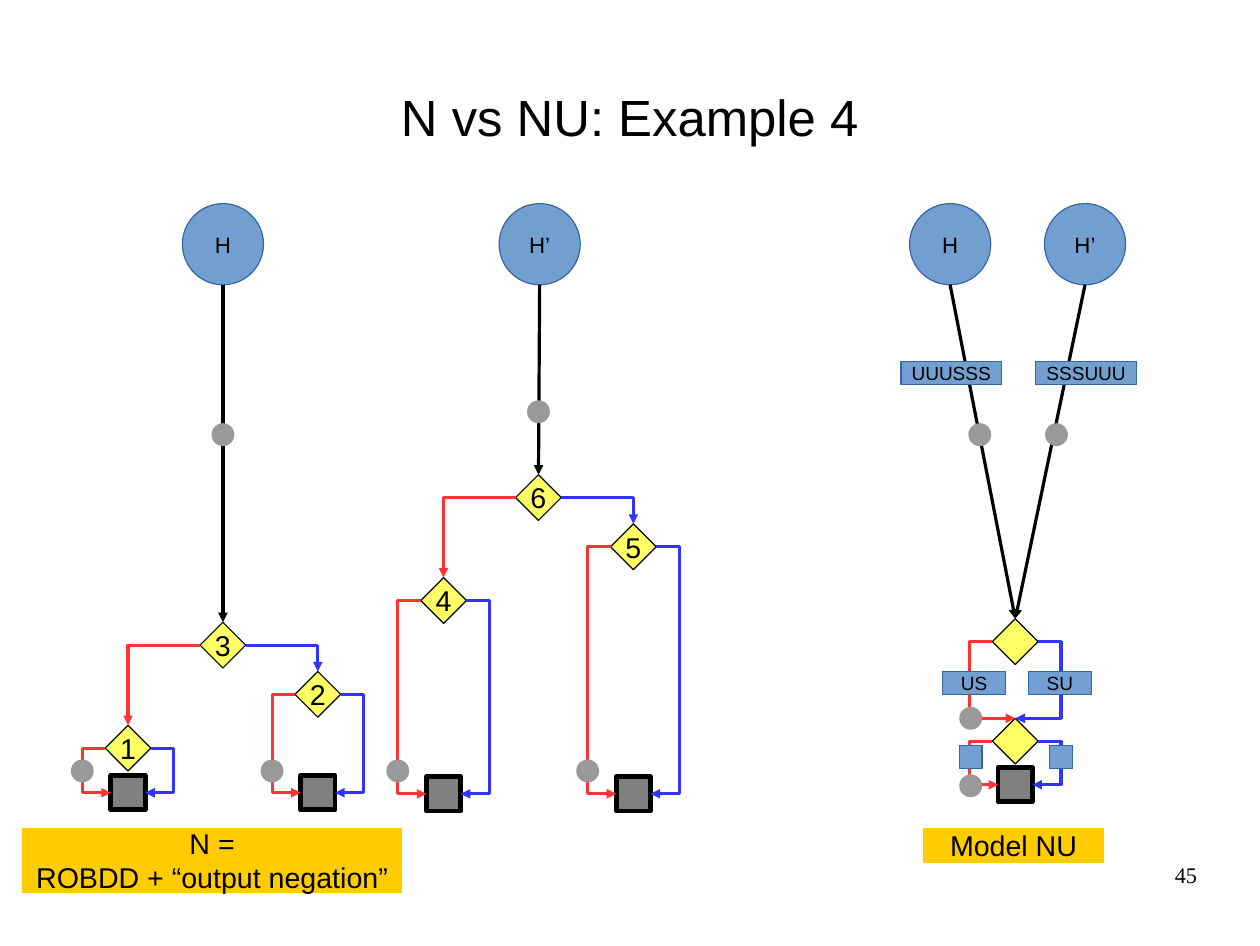
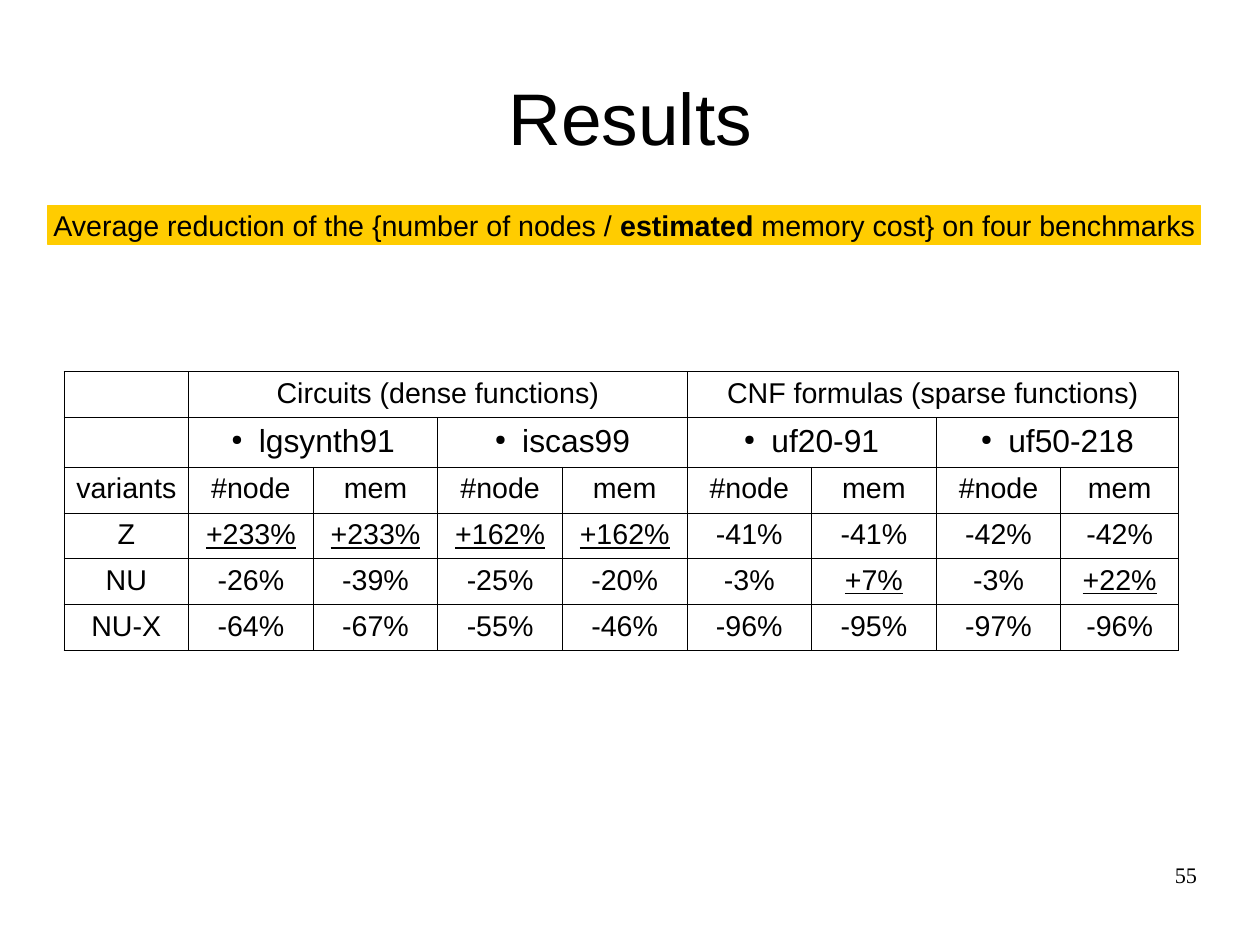
from pptx import Presentation
from pptx.dml.color import RGBColor
from pptx.enum.shapes import MSO_CONNECTOR, MSO_SHAPE
from pptx.enum.text import MSO_ANCHOR, PP_ALIGN
from pptx.oxml import parse_xml
from pptx.oxml.ns import nsdecls, qn
from pptx.util import Inches, Pt

RECT, OVAL, DIAMOND = MSO_SHAPE.RECTANGLE, MSO_SHAPE.OVAL, MSO_SHAPE.DIAMOND
STRAIGHT, ELBOW = MSO_CONNECTOR.STRAIGHT, MSO_CONNECTOR.ELBOW
CENTER, RIGHT = PP_ALIGN.CENTER, PP_ALIGN.RIGHT
TOP, MIDDLE = MSO_ANCHOR.TOP, MSO_ANCHOR.MIDDLE
TOP_SITE, LEFT_SITE, RIGHT_SITE = 0, 1, 3

COLORS = {
    "black": "000000", "gold": "FFCC00", "yellow": "FFFF66", "gray": "808080",
    "dot": "999999", "blue": "729FCF", "edge": "3465A4",
    "low": "FF3333", "high": "3333FF",
}
NODE, SINK, DOT, TAG = 0.4, 0.3, 0.2, 0.2
BALL, BALL_TOP = 0.71, 1.78
BALL_BOTTOM = BALL_TOP + BALL


def rgb(name):
    return RGBColor.from_string(COLORS[name])


def xml(body):
    return parse_xml(f"<a:root {nsdecls('a')}>{body}</a:root>")[0]


def write(tf, text, size=18, font="Arial", align=CENTER, underline=False):
    for i, line in enumerate(text.split("\n")):
        p = tf.paragraphs[0] if i == 0 else tf.add_paragraph()
        p.alignment = align
        for j, part in enumerate(line.split("*")):
            r = p.add_run()
            r.text = part
            r.font.size, r.font.name = Pt(size), font
            r.font.bold, r.font.underline = j % 2 == 1, underline
            r.font.color.rgb = rgb("black")


class Deck:
    """Hold the shared style and the slide being drawn."""

    def __init__(self):
        self.prs = Presentation()
        self.prs.slide_width, self.prs.slide_height = Inches(11.02), Inches(8.27)
        self.s = None

    def slide(self, title, size, number):
        self.s = self.prs.slides.add_slide(self.prs.slide_layouts[6])
        self.text(0.55, 0.33, 9.92, 1.38, title, anchor=MIDDLE, size=size)
        self.text(7.9, 7.53, 2.57, 0.57, number, size=14,
                  font="Times New Roman", align=RIGHT)

    def text(self, x, y, w, h, text, anchor=TOP, **style):
        tf = self.s.shapes.add_textbox(*map(Inches, (x, y, w, h))).text_frame
        tf.word_wrap, tf.vertical_anchor = True, anchor
        tf.margin_left = tf.margin_right = tf.margin_top = tf.margin_bottom = 0
        write(tf, text, **style)

    def shape(self, kind, x, y, w, h, fill, line=None, width=0, text="", size=18):
        sp = self.s.shapes.add_shape(kind, *map(Inches, (x, y, w, h)))
        sp.shadow.inherit = False
        sp.fill.solid()
        sp.fill.fore_color.rgb = rgb(fill)
        if line:
            sp.line.color.rgb = rgb(line)
            sp.line.width = Pt(width)
        else:
            sp.line.fill.background()
        if text:
            tf = sp.text_frame
            tf.word_wrap, tf.vertical_anchor = False, MIDDLE
            write(tf, text, size)
        return sp

    def banner(self, x, y, w, h, text):
        self.shape(RECT, x, y, w, h, "gold", "gold", text=text)

    def node(self, cx, y, text=""):
        return self.shape(DIAMOND, cx - NODE / 2, y, NODE, NODE,
                          "yellow", "black", text=text)

    def sink(self, cx, y):
        return self.shape(RECT, cx - SINK / 2, y, SINK, SINK, "gray", "black", 3)

    def dot(self, cx, y):
        self.shape(OVAL, cx - DOT / 2, y, DOT, DOT, "dot")

    def tag(self, cx, y, w, text=""):
        self.shape(RECT, cx - w / 2, y, w, TAG, "blue", "edge", text=text, size=12)

    def ball(self, cx, text):
        self.shape(OVAL, cx - BALL / 2, BALL_TOP, BALL, BALL,
                   "blue", "edge", text=text, size=14)

    def finish_arrow(self, c, color):
        c.line.color.rgb = rgb(color)
        c.line.width = Pt(0)
        sp_pr = c.element.spPr
        sp_pr.find(qn("a:ln")).append(xml('<a:tailEnd type="triangle"/>'))
        sp_pr.append(xml("<a:effectLst/>"))

    def entry(self, cx, node, dot_x, dot_y):
        c = self.s.shapes.add_connector(STRAIGHT, Inches(cx), Inches(BALL_BOTTOM), 0, 0)
        c.end_connect(node, TOP_SITE)
        self.finish_arrow(c, "black")
        self.dot(dot_x, dot_y)

    def branch(self, node, site, target, target_site, reach=None, glue=True):
        c = self.s.shapes.add_connector(ELBOW, 0, 0, 0, 0)
        c.begin_connect(node, site)
        if glue:
            c.end_connect(target, target_site)
        else:
            c.end_x, c.end_y = target.left + target.width // 2, target.top
        geom = c.element.spPr.find(qn("a:prstGeom"))
        if reach is None:
            geom.set("prst", "bentConnector2")
        else:
            offset = Inches(-reach if site == LEFT_SITE else reach)
            adj = round(offset / (c.end_x - c.begin_x) * 100000)
            geom.find(qn("a:avLst")).append(
                xml(f'<a:gd name="adj1" fmla="val {adj}"/>'))
        self.finish_arrow(c, "low" if site == LEFT_SITE else "high")

    def leaf(self, node, cx, sink_y, reach=0.2):
        sink = self.sink(cx, sink_y)
        for site in (LEFT_SITE, RIGHT_SITE):
            self.branch(node, site, sink, site, reach)

    def tree(self, cx, y, sink_y, names):
        root = self.node(cx, y, names[0])
        sides = ((LEFT_SITE, -0.83, 0.9), (RIGHT_SITE, 0.83, 0.43))
        for name, (site, dx, dy) in zip(names[1:], sides):
            child = self.node(cx + dx, y + dy, name)
            self.branch(root, site, child, TOP_SITE)
            self.leaf(child, cx + dx, sink_y)
            self.dot(cx + dx - 0.4, 6.64)
        return root

    def cell(self, cell, text, bullet=False):
        tc_pr = cell._tc.get_or_add_tcPr()
        for side in "LRTB":
            tc_pr.append(xml(
                f'<a:ln{side} w="7200"><a:solidFill><a:srgbClr val="{COLORS["black"]}"/>'
                f'</a:solidFill></a:ln{side}>'))
        cell.fill.background()
        if not text:
            return
        write(cell.text_frame, text, 20 if bullet else 18,
              underline=text.startswith("+"))
        if bullet:
            p_pr = cell.text_frame.paragraphs[0]._p.get_or_add_pPr()
            p_pr.set("marL", str(Inches(0.24)))
            p_pr.set("indent", str(Inches(-0.24)))
            p_pr.append(xml(f'<a:buClr><a:srgbClr val="{COLORS["black"]}"/></a:buClr>'))
            p_pr.append(xml('<a:buSzPct val="45000"/>'))
            p_pr.append(xml('<a:buChar char="●"/>'))

    def table(self, x, y, widths, heights, rows, merges, bullet_row):
        frame = self.s.shapes.add_table(
            len(rows), len(widths), *map(Inches, (x, y, sum(widths), sum(heights))))
        tbl = frame.table
        tbl.first_row = tbl.horz_banding = False
        for col, w in zip(tbl.columns, widths):
            col.width = Inches(w)
        for row, h in zip(tbl.rows, heights):
            row.height = Inches(h)
        for i, j, span in merges:
            tbl.cell(i, j).merge(tbl.cell(i, j + span - 1))
        for i, row in enumerate(rows):
            for j, text in enumerate(row):
                self.cell(tbl.cell(i, j), text, i == bullet_row)


def draw_example(d):
    d.slide("N vs NU: Example 4", 32, "45")
    d.banner(0.2, 7.24, 3.31, 0.56, "N =\nROBDD + “output negation”")
    d.banner(8.08, 7.24, 1.57, 0.3, "Model NU")

    trees = ((1.95, 1.95, 5.44, 6.78, "312", "H", 3.7),
             (4.71, 4.72, 4.15, 6.79, "645", "H’", 3.5))
    for cx, ball_x, y, sink_y, names, label, dot_y in trees:
        root = d.tree(cx, y, sink_y, names)
        d.ball(ball_x, label)
        d.entry(ball_x, root, cx, dot_y)

    cx = 8.88
    upper, lower = d.node(cx, 5.41), d.node(cx, 6.28)
    for ball_x, label, tag, dot_x in ((8.31, "H", "UUUSSS", 8.57),
                                      (9.49, "H’", "SSSUUU", 9.24)):
        d.ball(ball_x, label)
        d.entry(ball_x, upper, dot_x, 3.7)
        d.tag(ball_x + 0.01, 3.16, 0.88, tag)
    for site in (LEFT_SITE, RIGHT_SITE):
        d.branch(upper, site, lower, TOP_SITE, 0.2, glue=False)
    d.leaf(lower, cx, 6.71)
    for tag_x, label, small_x in ((8.52, "US", 8.49), (9.27, "SU", 9.28)):
        d.tag(tag_x, 5.87, 0.55, label)
        d.tag(small_x, 6.52, TAG)
    for dot_y in (6.18, 6.77):
        d.dot(8.49, dot_y)


def draw_results(d):
    d.slide("Results", 46, "55")
    d.banner(0.42, 1.8, 10.08, 0.34,
             "Average reduction of the {number of nodes / *estimated* memory cost}"
             " on four benchmarks")
    rows = [
        ["", "Circuits (dense functions)", "", "", "",
         "CNF formulas (sparse functions)", "", "", ""],
        ["", "lgsynth91", "", "iscas99", "", "uf20-91", "", "uf50-218", ""],
        ["variants"] + ["#node", "mem"] * 4,
        ["Z", "+233%", "+233%", "+162%", "+162%", "-41%", "-41%", "-42%", "-42%"],
        ["NU", "-26%", "-39%", "-25%", "-20%", "-3%", "+7%", "-3%", "+22%"],
        ["NU-X", "-64%", "-67%", "-55%", "-46%", "-96%", "-95%", "-97%", "-96%"],
    ]
    merges = [(0, j, 4) for j in (1, 5)] + [(1, j, 2) for j in (1, 3, 5, 7)]
    d.table(0.56, 3.25, [1.09] * 8 + [1.03], [0.38, 0.41] + [0.38] * 4,
            rows, merges, bullet_row=1)


def main():
    d = Deck()
    draw_example(d)
    draw_results(d)
    d.prs.save("out.pptx")


if __name__ == "__main__":
    main()
